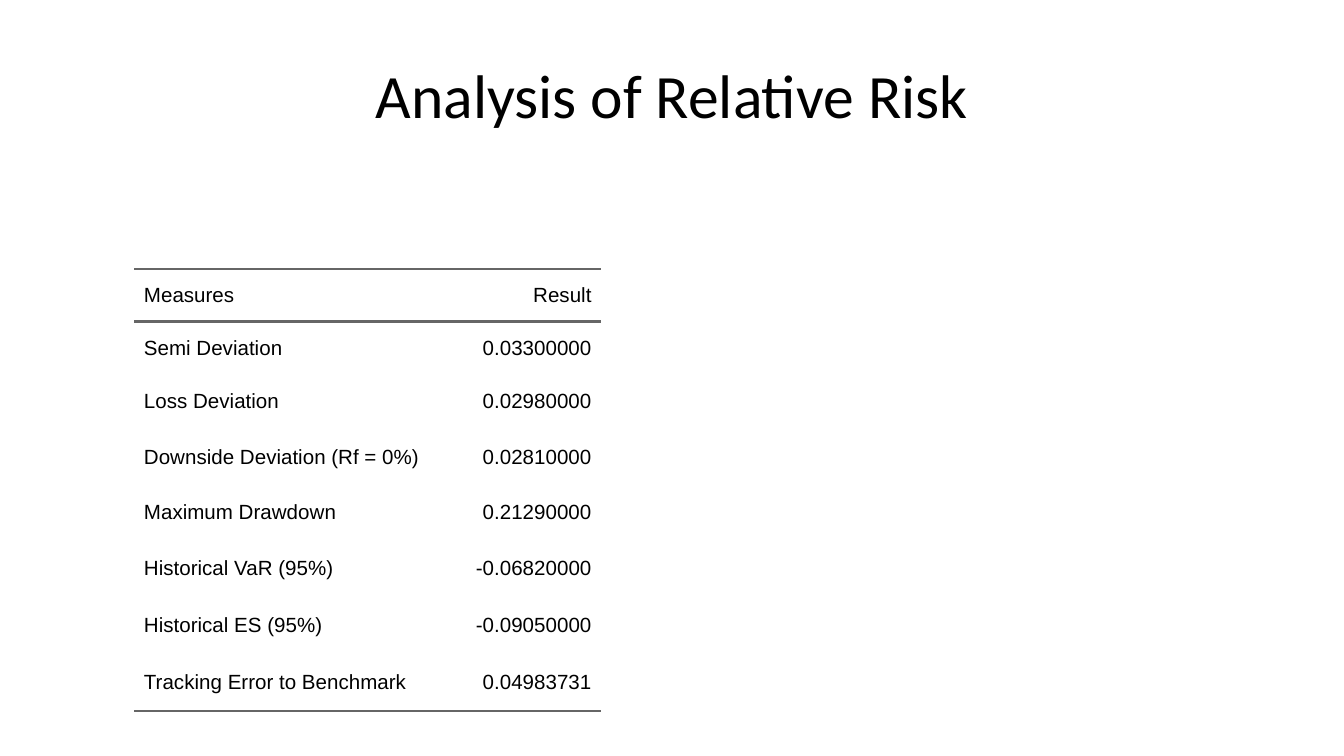
"""Build a slide with a table of relative risk measures."""
from lxml import etree
from pptx import Presentation
from pptx.dml.color import RGBColor
from pptx.enum.text import MSO_ANCHOR, PP_ALIGN
from pptx.oxml.ns import qn
from pptx.util import Cm, Pt

BLACK = RGBColor(0x00, 0x00, 0x00)
GREY = RGBColor(0x66, 0x66, 0x66)
LEFT, CENTER, RIGHT = PP_ALIGN.LEFT, PP_ALIGN.CENTER, PP_ALIGN.RIGHT
MIDDLE = MSO_ANCHOR.MIDDLE

WIDTHS = (5.92, 2.9)
HEIGHTS = (1, 1, 1.02, 1.08, 1.02, 1.08, 1.08, 1.08)
ROWS = (
    ("Measures", "Result"),
    ("Semi Deviation", "0.03300000"),
    ("Loss Deviation", "0.02980000"),
    ("Downside Deviation (Rf = 0%)", "0.02810000"),
    ("Maximum Drawdown", "0.21290000"),
    ("Historical VaR (95%)", "-0.06820000"),
    ("Historical ES (95%)", "-0.09050000"),
    ("Tracking Error to Benchmark", "0.04983731"),
)


def add_text(para, text, font, size, align):
    """Add one styled run to a paragraph."""
    para.alignment = align
    run = para.add_run()
    run.text = text
    run.font.name = font
    run.font.size = Pt(size)
    run.font.color.rgb = BLACK


def add_title(slide, text):
    """Add the centred slide title."""
    box = slide.shapes.add_textbox(Cm(1.27), Cm(0.58), Cm(22.86), Cm(2.39))
    frame = box.text_frame
    frame.word_wrap = True
    frame.vertical_anchor = MIDDLE
    add_text(frame.paragraphs[0], text, "Calibri", 33, CENTER)


def set_edge(cell, side, drawn):
    """Draw or clear one border of a cell."""
    props = cell._tc.get_or_add_tcPr()
    line = etree.SubElement(props, qn(f"a:ln{side}"), w=str(Pt(1.5)))
    if drawn:
        fill = etree.SubElement(line, qn("a:solidFill"))
        etree.SubElement(fill, qn("a:srgbClr"), val=str(GREY))
    else:
        etree.SubElement(line, qn("a:noFill"))


def fill_cell(cell, text, align, edges):
    """Set the text, margins and borders of a cell."""
    cell.vertical_anchor = MIDDLE
    cell.margin_left = cell.margin_right = Cm(0.18)
    cell.margin_top = cell.margin_bottom = Cm(0.18)
    para = cell.text_frame.paragraphs[0]
    para.space_before = para.space_after = Pt(5)
    add_text(para, text, "Arial", 11, align)
    for side in "LRTB":
        set_edge(cell, side, side in edges)
    cell.fill.background()


def add_grid(slide):
    """Add the table, ruled around its header and at its foot."""
    frame = slide.shapes.add_table(
        len(ROWS), len(WIDTHS), Cm(2.54), Cm(5.08),
        Cm(sum(WIDTHS)), Cm(sum(HEIGHTS)))
    table = frame.table
    table.first_row = table.horz_banding = False
    for col, width in zip(table.columns, WIDTHS):
        col.width = Cm(width)
    for row, height in zip(table.rows, HEIGHTS):
        row.height = Cm(height)
    edges = {0: "TB", 1: "T", len(ROWS) - 1: "B"}
    for r, texts in enumerate(ROWS):
        for c, (text, align) in enumerate(zip(texts, (LEFT, RIGHT))):
            fill_cell(table.cell(r, c), text, align, edges.get(r, ""))


def main():
    """Build and save the slide."""
    prs = Presentation()
    prs.slide_width, prs.slide_height = Cm(25.4), Cm(14.29)
    slide = prs.slides.add_slide(prs.slide_layouts[6])
    add_title(slide, "Analysis of Relative Risk")
    add_grid(slide)
    prs.save("out.pptx")


if __name__ == "__main__":
    main()
